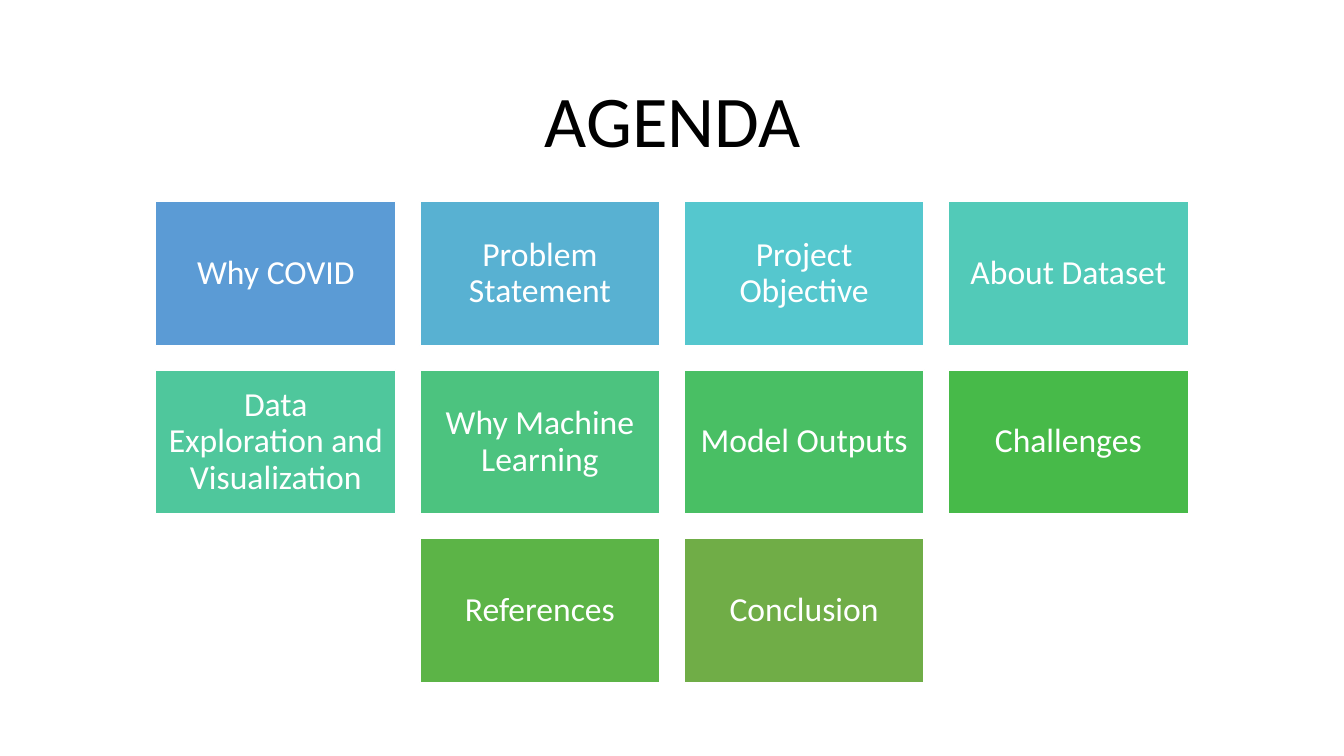
"""Build the agenda slide: a title above centred rows of coloured tiles."""
from dataclasses import dataclass

from pptx import Presentation
from pptx.dml.color import RGBColor as RGB
from pptx.enum.shapes import MSO_SHAPE as Shape
from pptx.enum.text import MSO_ANCHOR as Anchor, PP_ALIGN as Align
from pptx.util import Inches, Pt


@dataclass(frozen=True)
class Theme:
    font: str = "Calibri"
    title: int = 52
    label: int = 24
    dark: str = "000000"
    light: str = "FFFFFF"


THEME = Theme()
WIDTH, HEIGHT = 13.33, 7.5
TILE_W, TILE_H, GAP = 2.38, 1.43, 0.24
TOP, COLS = 2, 4
TOPICS = [
    ("Why COVID", "5B9BD5"),
    ("Problem Statement", "58B1D2"),
    ("Project Objective", "55C7CE"),
    ("About Dataset", "52CAB8"),
    ("Data Exploration and Visualization", "4FC79C"),
    ("Why Machine Learning", "4CC37F"),
    ("Model Outputs", "49BF64"),
    ("Challenges", "47BA49"),
    ("References", "5CB447"),
    ("Conclusion", "70AD47"),
]


def write(shape, text, size, color):
    frame = shape.text_frame
    frame.word_wrap = True
    frame.vertical_anchor = Anchor.MIDDLE
    frame.margin_left = frame.margin_right = Inches(0.1)
    frame.margin_top = frame.margin_bottom = Inches(0.1)
    para = frame.paragraphs[0]
    para.text = text
    para.alignment = Align.CENTER
    para.line_spacing = 0.9
    para.font.name = THEME.font
    para.font.size = Pt(size)
    para.font.color.rgb = RGB.from_string(color)


def add_title(slide, text):
    box = slide.shapes.add_textbox(
        Inches(0.92), Inches(0.61), Inches(11.5), Inches(1.24))
    write(box, text, THEME.title, THEME.dark)


def add_tile(slide, left, top, text, fill):
    tile = slide.shapes.add_shape(
        Shape.RECTANGLE, Inches(left), Inches(top), Inches(TILE_W), Inches(TILE_H))
    tile.shadow.inherit = False
    tile.fill.solid()
    tile.fill.fore_color.rgb = RGB.from_string(fill)
    tile.line.color.rgb = RGB.from_string(THEME.light)
    tile.line.width = Pt(1)
    write(tile, text, THEME.label, THEME.light)


def add_grid(slide, topics):
    for row, start in enumerate(range(0, len(topics), COLS)):
        group = topics[start:start + COLS]
        span = len(group) * (TILE_W + GAP) - GAP
        left = (WIDTH - span) / 2
        top = TOP + row * (TILE_H + GAP)
        for col, (text, fill) in enumerate(group):
            add_tile(slide, left + col * (TILE_W + GAP), top, text, fill)


def main():
    deck = Presentation()
    deck.slide_width, deck.slide_height = Inches(WIDTH), Inches(HEIGHT)
    slide = deck.slides.add_slide(deck.slide_layouts[6])
    add_title(slide, "AGENDA")
    add_grid(slide, TOPICS)
    deck.save("out.pptx")


if __name__ == "__main__":
    main()
